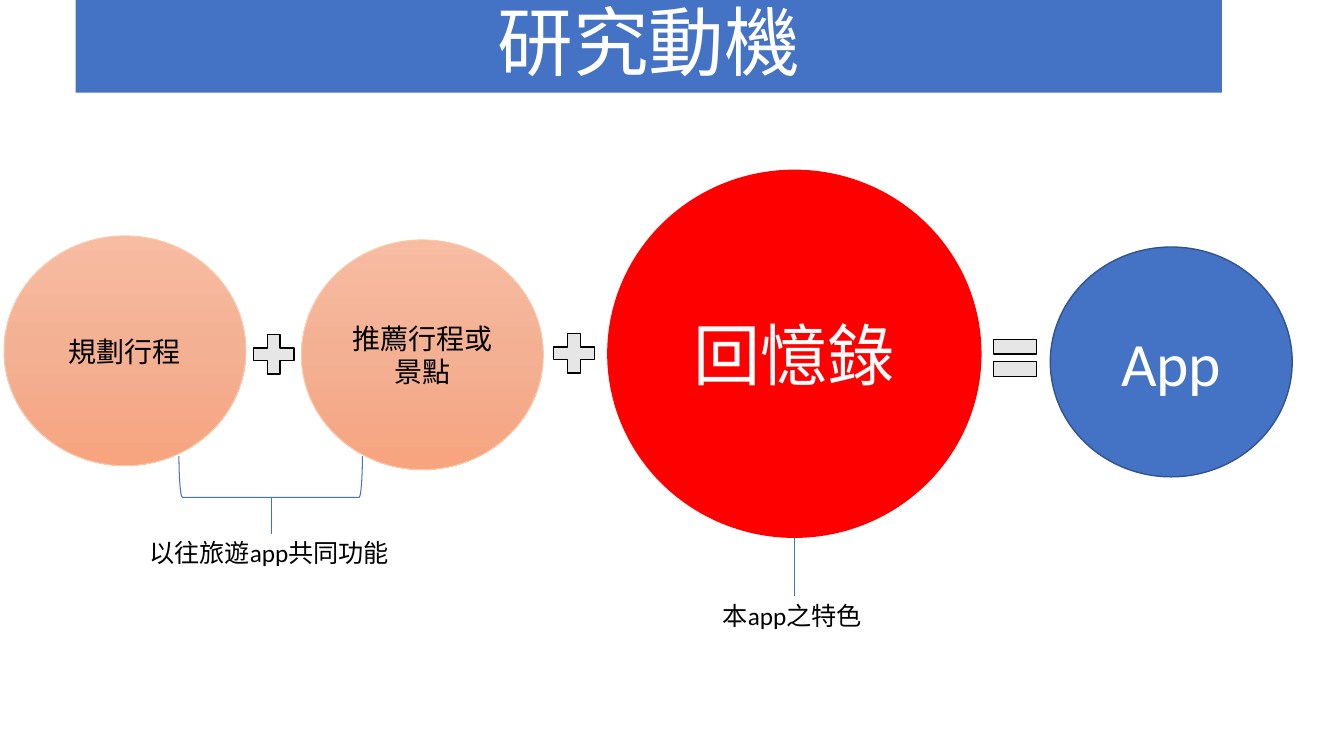
import copy
import dataclasses

import pptx
import pptx.dml.color
import pptx.enum.shapes
import pptx.enum.text
import pptx.oxml
import pptx.oxml.ns
import pptx.util

KIND = pptx.enum.shapes.MSO_SHAPE
ALIGN = pptx.enum.text.PP_ALIGN
MIDDLE = pptx.enum.text.MSO_ANCHOR.MIDDLE
WIDE = pptx.util.Inches(13.333)
HIGH = pptx.util.Inches(7.5)


@dataclasses.dataclass(frozen=True)
class Theme:
    font: str = "Calibri"
    blue: str = "4472C4"
    navy: str = "31538F"
    red: str = "FF0000"
    peach: str = "F7CAAC"
    blend: tuple = ("F7BCA2", "F4B093", "F7A47F")
    grey: str = "E7E6E6"
    black: str = "000000"
    white: str = "FFFFFF"
    title: int = 54
    main: int = 48
    goal: int = 44
    label: int = 20
    note: int = 18
    thin: float = 0.75
    edge: float = 1


THEME = Theme()


def across(share):
    """Turn a percentage of the slide's width into a length."""
    return round(WIDE * share / 100)


def down(share):
    """Turn a percentage of the slide's height into a length."""
    return round(HIGH * share / 100)


def place(box):
    left, top, width, height = box
    return across(left), down(top), across(width), down(height)


def tint(name):
    return pptx.dml.color.RGBColor.from_string(name)


def write(shape, text, size, color, align=ALIGN.CENTER):
    frame = shape.text_frame
    frame.word_wrap = True
    frame.text = text
    para = frame.paragraphs[0]
    para.alignment = align
    for run in para.runs:
        run.font.name = THEME.font
        run.font.size = pptx.util.Pt(size)
        run.font.color.rgb = tint(color)
    return para


def stroke(shape, color, width):
    shape.line.color.rgb = tint(color)
    shape.line.width = pptx.util.Pt(width)


def blend(shape, colors):
    """Fill a shape from top to bottom with evenly spaced colours."""
    fill = shape.fill
    fill.gradient()
    fill.gradient_angle = 270
    first = shape._element.spPr.find(".//" + pptx.oxml.ns.qn("a:gs"))
    for _ in colors[2:]:
        first.addnext(copy.deepcopy(first))
    for step, (stop, color) in enumerate(zip(fill.gradient_stops, colors)):
        stop.color.rgb = tint(color)
        stop.position = step / (len(colors) - 1)


def draw(slide, kind, box, fill, line, width, bends=()):
    shape = slide.shapes.add_shape(kind, *place(box))
    shape.shadow.inherit = False
    stroke(shape, line, width)
    if fill is None:
        shape.fill.background()
    elif isinstance(fill, tuple):
        blend(shape, fill)
    else:
        shape.fill.solid()
        shape.fill.fore_color.rgb = tint(fill)
    for spot, bend in enumerate(bends):
        shape.adjustments[spot] = bend
    return shape


def disc(slide, box, text, size, color, fill, line, width):
    shape = draw(slide, KIND.OVAL, box, fill, line, width)
    shape.text_frame.vertical_anchor = MIDDLE
    write(shape, text, size, color)


def sign(slide, kind, box, bends):
    draw(slide, kind, box, THEME.grey, THEME.black, THEME.edge, bends)


def stem(slide, left, top, end):
    """Draw the upright line that leads down to a note."""
    line = slide.shapes.add_connector(
        pptx.enum.shapes.MSO_CONNECTOR.STRAIGHT,
        across(left), down(top), across(left), down(end))
    stroke(line, THEME.blue, THEME.thin)
    line._element.spPr.append(pptx.oxml.parse_xml(
        "<a:effectLst %s/>" % pptx.oxml.ns.nsdecls("a")))


def note(slide, box, text):
    shape = slide.shapes.add_textbox(*place(box))
    write(shape, text, THEME.note, THEME.black, ALIGN.LEFT)


def head(slide, box, text):
    shape = slide.shapes.title
    shape.left, shape.top, shape.width, shape.height = place(box)
    shape.fill.solid()
    shape.fill.fore_color.rgb = tint(THEME.blue)
    shape.text_frame.vertical_anchor = MIDDLE
    shape.text_frame.auto_size = pptx.enum.text.MSO_AUTO_SIZE.NONE
    write(shape, text, THEME.title, THEME.white).line_spacing = 0.9


def main():
    deck = pptx.Presentation()
    deck.slide_width, deck.slide_height = WIDE, HIGH
    slide = deck.slides.add_slide(deck.slide_layouts.get_by_name("Title Only"))

    head(slide, (5.63, 0, 85.28, 12.27), "研究動機")

    small = (18, 30.4)
    for left, top, text in ((0.3, 31.2, "規劃行程"),
                            (22.43, 31.73, "推薦行程或\v景點")):
        disc(slide, (left, top, *small), text, THEME.label, THEME.black,
             THEME.blend, THEME.peach, THEME.thin)
    disc(slide, (45.23, 22.53, 27.75, 48.53), "回憶錄", THEME.main,
         THEME.white, THEME.red, THEME.red, THEME.edge)
    disc(slide, (78.15, 32.67, *small), "App", THEME.goal,
         THEME.white, THEME.blue, THEME.navy, THEME.edge)

    for left, top in ((18.3, 43.33), (40.65, 43.2)):
        sign(slide, KIND.MATH_PLUS, (left, top, 4.13, 7.07), (0.235,))
    sign(slide, KIND.MATH_EQUAL, (73.35, 43.2, 4.35, 8.27), (0.235, 0.118))

    brace = draw(slide, KIND.RIGHT_BRACKET, (18.6, 50.93, 3.08, 24.27),
                 None, THEME.blue, THEME.thin, (0.083,))
    brace.rotation = 90
    stem(slide, 20.18, 65.73, 70.67)
    note(slide, (10.35, 70.4, 19.58, 5.33), "以往旅遊app共同功能")
    stem(slide, 59.1, 71.2, 78.8)
    note(slide, (53.03, 78.8, 12, 5.33), "本app之特色")

    deck.save("out.pptx")


if __name__ == "__main__":
    main()
